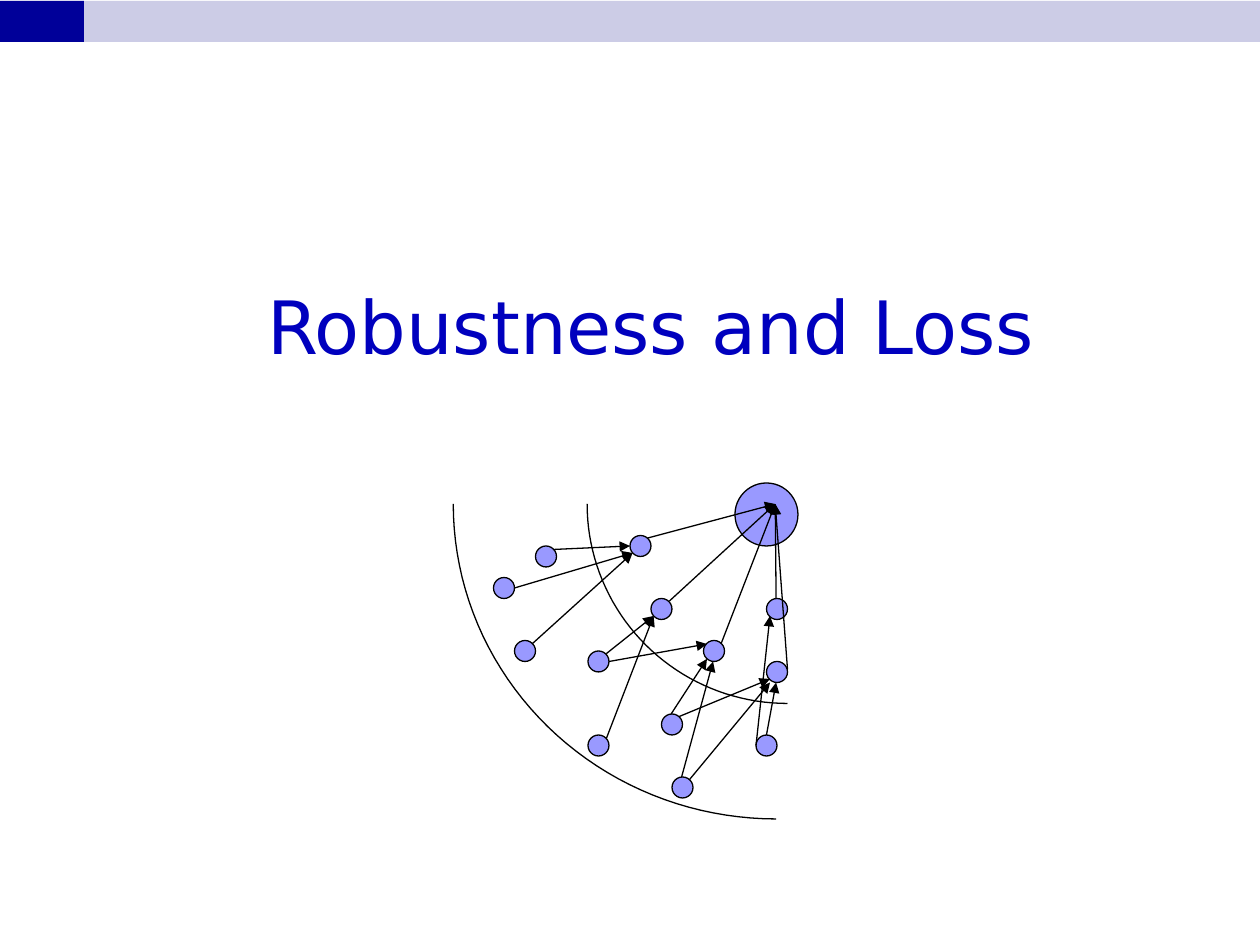
"""Build a title slide with a fan of dots that send arrows to one sink."""
from math import cos, pi, sin

from lxml import etree
from pptx import Presentation
from pptx.dml.color import RGBColor
from pptx.enum.shapes import MSO_CONNECTOR, MSO_SHAPE
from pptx.enum.text import MSO_ANCHOR, PP_ALIGN
from pptx.oxml.ns import qn
from pptx.util import Pt

RECT, OVAL = MSO_SHAPE.RECTANGLE, MSO_SHAPE.OVAL
LINE = MSO_CONNECTOR.STRAIGHT
MIDDLE, CENTER = MSO_ANCHOR.MIDDLE, PP_ALIGN.CENTER
BLACK = "000000"
STEPS = 40


def color(form, value):
    form.rgb = RGBColor.from_string(value)


def add(kind, left, top, width, height, fill, line=None):
    shape = shapes.add_shape(kind, Pt(left), Pt(top), Pt(width), Pt(height))
    shape.shadow.inherit = False
    shape.fill.solid()
    color(shape.fill.fore_color, fill)
    if line:
        color(shape.line.color, line)
        shape.line.width = Pt(0.75)
    else:
        shape.line.fill.background()


deck = Presentation()
deck.slide_width, deck.slide_height = Pt(720), Pt(540)
shapes = deck.slides.add_slide(deck.slide_layouts[6]).shapes

add(RECT, 0, 0.5, 720, 23.5, "CCCCE6")
add(RECT, 0, 0.5, 48, 23.5, "000099")

title = shapes.add_textbox(Pt(36), Pt(54), Pt(672), Pt(264))
frame = title.text_frame
frame.word_wrap = True
frame.vertical_anchor = MIDDLE
frame.text = "Robustness and Loss"
frame.paragraphs[0].alignment = CENTER
font = frame.paragraphs[0].runs[0].font
font.name, font.size = "DejaVu Sans", Pt(42)
color(font.color, "0000BE")

add(OVAL, 420, 276, 36, 36, "9999FF", BLACK)

for mid, wide, high in [(450, 114.5, 114), (443.5, 184.5, 180)]:
    turns = [pi / 2 * step / STEPS for step in range(STEPS + 1)]
    points = [(Pt(mid - wide * sin(turn)), Pt(288 + high * cos(turn)))
              for turn in turns]
    pen = shapes.build_freeform(*points[0])
    pen.add_line_segments(points[1:], close=False)
    arc = pen.convert_to_shape()
    arc.shadow.inherit = False
    arc.fill.background()
    color(arc.line.color, BLACK)
    arc.line.width = Pt(0.75)

dots = [(360, 306), (372, 342), (402, 366), (438, 342), (438, 378),
        (432, 420), (384, 444), (336, 420), (294, 366), (306, 312),
        (336, 372), (378, 408), (282, 330)]
for left, top in dots:
    add(OVAL, left, top, 12, 12, "9999FF", BLACK)

sink = (443, 288)
arrows = [
    ((346.5, 373.5), (373.5, 352)),
    ((383.5, 408), (404, 376.5)),
    ((388, 409.5), (440, 388)),
    ((438, 420), (443.5, 390)),
    ((432, 426), (440, 352)),
    ((443.5, 342), sink),
    ((382.5, 343.5), sink),
    ((370, 307.5), sink),
    ((348, 378), (404, 368)),
    ((346.5, 422), (373.5, 352)),
    ((304, 368), (361.5, 316)),
    ((316, 314), (360, 312)),
    ((294, 336), (361.5, 316)),
    ((389.5, 444), (407.5, 378)),
    ((394, 445.5), (440, 390)),
    ((412, 368), sink),
    ((450, 382.5), sink),
]
for start, end in arrows:
    arrow = shapes.add_connector(LINE, *map(Pt, start + end))
    color(arrow.line.color, BLACK)
    arrow.line.width = Pt(0.75)
    props = arrow.line._get_or_add_ln()
    etree.SubElement(props, qn("a:tailEnd"), type="triangle")
    etree.SubElement(props.getparent(), qn("a:effectLst"))

deck.save("out.pptx")
